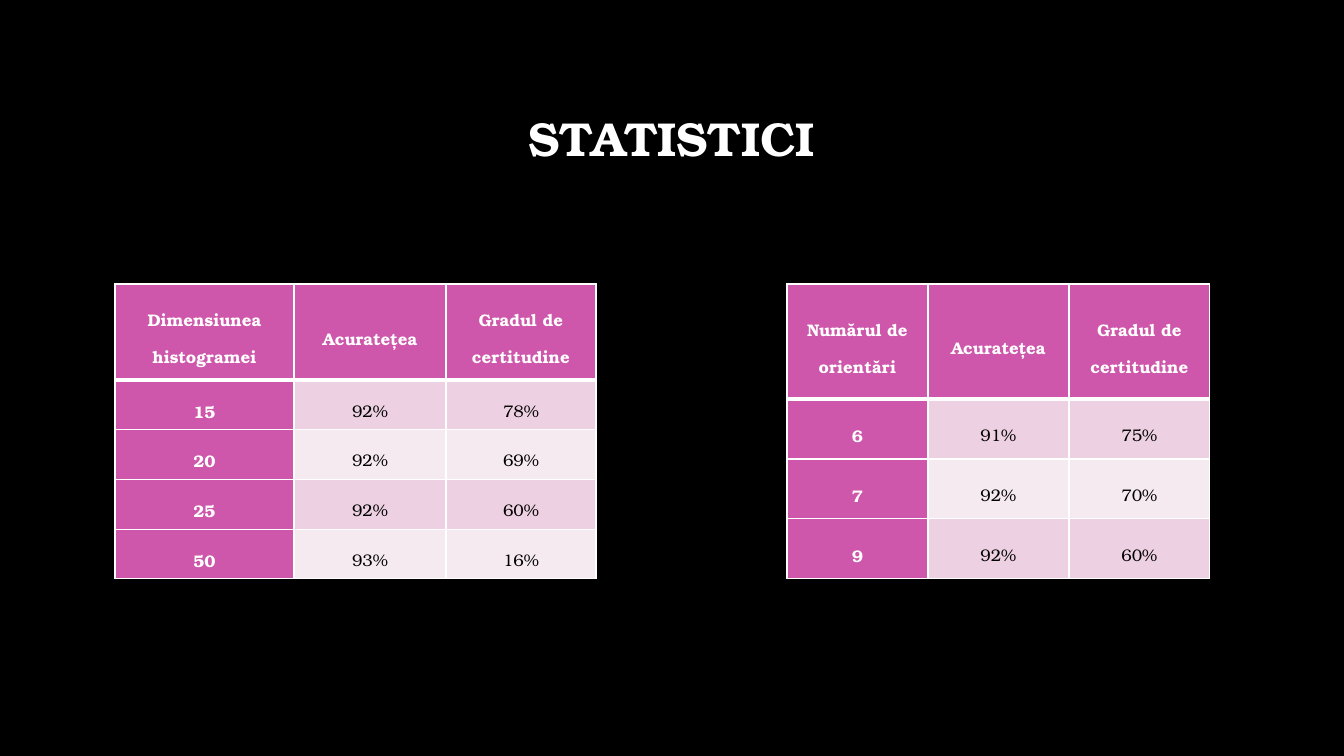
import pptx
import pptx.util
import pptx.dml.color
import pptx.enum.text
import pptx.oxml
import pptx.oxml.ns

# Content: lengths in px
TITLE = "STATISTICI"
TITLE_BOX = (101, 68, 1141, 146)
TABLE_TOP = 284
TABLE_HEIGHT = 295
TABLES = [
    {
        "left": 115,
        "columns": (179, 152, 150),
        "header_height": 96,
        "rows": [
            ("Dimensiunea histogramei", "Acuratețea", "Gradul de certitudine"),
            ("15", "92%", "78%"),
            ("20", "92%", "69%"),
            ("25", "92%", "60%"),
            ("50", "93%", "16%"),
        ],
    },
    {
        "left": 787,
        "columns": (141, 141, 141),
        "header_height": 115,
        "rows": [
            ("Numărul de orientări", "Acuratețea", "Gradul de certitudine"),
            ("6", "91%", "75%"),
            ("7", "92%", "70%"),
            ("9", "92%", "60%"),
        ],
    },
]

# Style
FONT = "TeX Gyre Bonum"
BLACK = pptx.dml.color.RGBColor(0x00, 0x00, 0x00)
WHITE = pptx.dml.color.RGBColor(0xFF, 0xFF, 0xFF)
PINK = pptx.dml.color.RGBColor(0xCE, 0x57, 0xAB)
BANDS = (
    pptx.dml.color.RGBColor(0xED, 0xD1, 0xE2),
    pptx.dml.color.RGBColor(0xF6, 0xEA, 0xF1),
)
SLIDE_WIDTH, SLIDE_HEIGHT = 1344, 756
PX_PER_INCH = 100.8


def px(length):
    return pptx.util.Inches(length / PX_PER_INCH)


def format_text(text_frame, size, color, bold, line_spacing):
    paragraph = text_frame.paragraphs[0]
    paragraph.alignment = pptx.enum.text.PP_ALIGN.CENTER
    paragraph.line_spacing = line_spacing
    font = paragraph.runs[0].font
    font.name = FONT
    font.size = pptx.util.Pt(size)
    font.bold = bold
    font.color.rgb = color


def add_borders(cell, top_width, bottom_width):
    widths = {"lnL": 1, "lnR": 1, "lnT": top_width, "lnB": bottom_width}
    properties = cell._tc.get_or_add_tcPr()
    for side, width in widths.items():
        properties.append(pptx.oxml.parse_xml(
            f'<a:{side} {pptx.oxml.ns.nsdecls("a")} w="{pptx.util.Pt(width)}">'
            f'<a:solidFill><a:srgbClr val="{WHITE}"/></a:solidFill></a:{side}>'))


def format_cell(cell, text, row, column):
    emphasized = row == 0 or column == 0
    cell.text_frame.text = text
    format_text(cell.text_frame, 12, WHITE if emphasized else BLACK, emphasized, 1.5)
    cell.text_frame.paragraphs[0].space_after = pptx.util.Pt(10)
    cell.vertical_anchor = pptx.enum.text.MSO_ANCHOR.MIDDLE
    cell.margin_left = cell.margin_right = px(7)
    cell.margin_top = cell.margin_bottom = 0
    # Borders precede the fill in the cell properties
    add_borders(cell, 3 if row == 1 else 1, 3 if row == 0 else 1)
    cell.fill.solid()
    cell.fill.fore_color.rgb = PINK if emphasized else BANDS[(row - 1) % 2]


def add_statistics_table(slide, left, columns, header_height, rows):
    table = slide.shapes.add_table(
        len(rows), len(columns), px(left), px(TABLE_TOP),
        px(sum(columns)), px(TABLE_HEIGHT)).table
    for column, width in zip(table.columns, columns):
        column.width = px(width)
    body_height = (TABLE_HEIGHT - header_height) / (len(rows) - 1)
    for row, texts in enumerate(rows):
        table.rows[row].height = px(body_height if row else header_height)
        for column, text in enumerate(texts):
            format_cell(table.cell(row, column), text, row, column)


def main():
    presentation = pptx.Presentation()
    presentation.slide_width = px(SLIDE_WIDTH)
    presentation.slide_height = px(SLIDE_HEIGHT)
    slide = presentation.slides.add_slide(presentation.slide_layouts[5])
    slide.background.fill.solid()
    slide.background.fill.fore_color.rgb = BLACK

    # Title
    title = slide.shapes.title
    title.left, title.top, title.width, title.height = map(px, TITLE_BOX)
    title.text_frame.text = TITLE
    title.text_frame.auto_size = pptx.enum.text.MSO_AUTO_SIZE.NONE
    title.text_frame.vertical_anchor = pptx.enum.text.MSO_ANCHOR.MIDDLE
    format_text(title.text_frame, 34, WHITE, True, 0.9)

    # Tables
    for statistics in TABLES:
        add_statistics_table(slide, **statistics)

    presentation.save("out.pptx")


if __name__ == "__main__":
    main()
